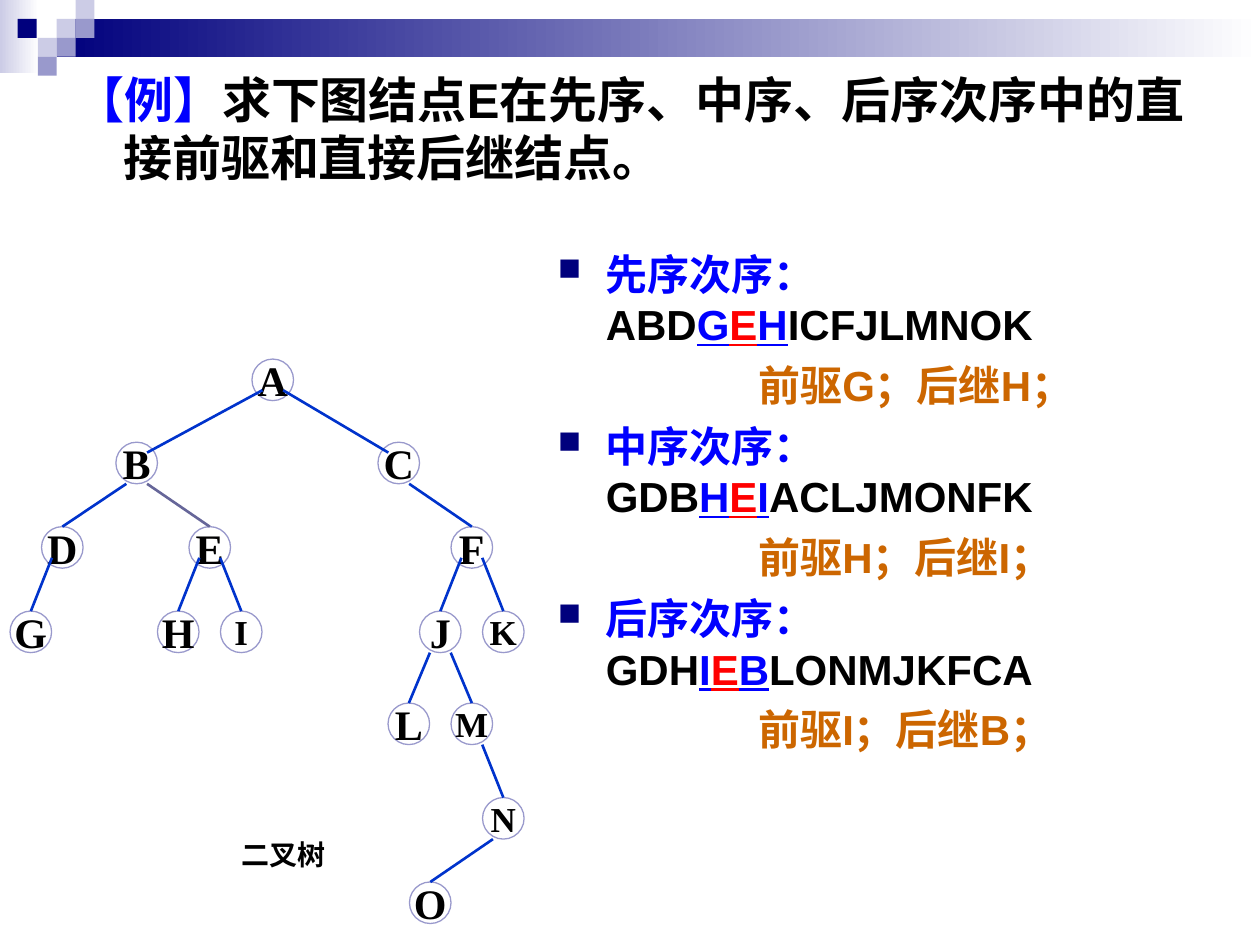
from lxml.etree import SubElement
from pptx import Presentation
from pptx.dml.color import RGBColor
from pptx.enum.shapes import MSO_CONNECTOR, MSO_SHAPE
from pptx.enum.text import MSO_ANCHOR, PP_ALIGN
from pptx.oxml.ns import qn
from pptx.util import Inches, Pt

THEME = dict(
    navy="00007D", lilac="CCCCE6", violet="9999CC", white="FFFFFF", black="000000",
    blue="0000FF", red="FF0000", orange="CC6600", edge="0033CC", muted="666699",
    sans="Arial", serif="Times New Roman",
    title=28, body=24, node=24, small=20, caption=16,
)

TITLE = [("【例】", "blue"),
         ("求下图结点E在先序、中序、后序次序中的直接前驱和直接后继结点。", "black")]
CAPTION = "二叉树"
ORDERS = [
    ("先序次序：", "ABD", "GEH", "ICFJLMNOK"),
    ("中序次序：", "GDB", "HEI", "ACLJMONFK"),
    ("后序次序：", "GDH", "IEB", "LONMJKFCA"),
]
BANDS = [(0, 0, 0.31, 0.58, "lilac"), (0.45, 0.15, 9.55, 0.3, "navy")]
TILES = [(0.45, 0.15, "lilac"), (0.6, 0, "lilac"), (0.6, 0.15, "violet"),
         (0.3, 0.3, "lilac"), (0.14, 0.15, "navy"), (0.45, 0.3, "violet"),
         (0.3, 0.45, "violet")]
TILE = 0.15

ROWS = [2.85, 3.51, 4.18, 4.85, 5.58, 6.33, 7]
NODES = {
    "A": (2, 0), "B": (0.92, 1), "C": (3, 1), "D": (0.33, 2), "E": (1.5, 2),
    "F": (3.58, 2), "G": (0.08, 3), "H": (1.25, 3), "I": (1.75, 3), "J": (3.33, 3),
    "K": (3.83, 3), "L": (3.08, 4), "M": (3.58, 4), "N": (3.83, 5), "O": (3.25, 6),
}
EDGES = ["AB", "AC", "BD", "BE", "CF", "DG", "EH", "EI", "FJ", "FK", "JL", "JM", "MN", "NO"]
SMALL_NODES = "IKMN"
RAISED_STARTS = "ADEF"
MUTED_EDGE = "BE"
SIZE = 0.33
STEP = SIZE / 4


def rgb(name):
    return RGBColor.from_string(THEME[name])


def add_shape(s, kind, x, y, w, h, fill, fade=False):
    sp = s.shapes.add_shape(kind, *map(Inches, (x, y, w, h)))
    sp.shadow.inherit = False
    sp.line.fill.background()
    if fade:
        sp.fill.gradient()
        sp.fill.gradient_angle = 0
        for stop, color, pos in zip(sp.fill.gradient_stops, (fill, "white"), (0, 1)):
            stop.color.rgb, stop.position = rgb(color), pos
    else:
        sp.fill.solid()
        sp.fill.fore_color.rgb = rgb(fill)
    return sp


def add_run(p, text, color, size, face="sans", underline=False):
    r = p.add_run()
    r.text = text
    fmt = dict(name=THEME[face], size=Pt(THEME[size]), bold=True, underline=underline)
    for key, value in fmt.items():
        setattr(r.font, key, value)
    r.font.color.rgb = rgb(color)


def add_text(s, x, y, w, h):
    tf = s.shapes.add_textbox(*map(Inches, (x, y, w, h))).text_frame
    tf.word_wrap = True
    return tf


def set_indent(p, left, first):
    pPr = p._p.get_or_add_pPr()
    pPr.set("marL", str(Inches(left)))
    pPr.set("indent", str(Inches(first)))
    return pPr


def add_bullet(p):
    pPr = set_indent(p, 0.38, -0.38)
    color = SubElement(pPr, qn("a:buClr"))
    SubElement(color, qn("a:srgbClr"), val=THEME["navy"])
    SubElement(pPr, qn("a:buSzPct"), val="75000")
    SubElement(pPr, qn("a:buChar"), char="■")


def add_node(s, name):
    x, row = NODES[name]
    sp = add_shape(s, MSO_SHAPE.OVAL, x, ROWS[row], SIZE, SIZE, "white")
    sp.line.color.rgb = rgb("violet")
    sp.line.width = Pt(0.75)
    tf = sp.text_frame
    tf.word_wrap = False
    tf.vertical_anchor = MSO_ANCHOR.MIDDLE
    p = tf.paragraphs[0]
    p.alignment = PP_ALIGN.CENTER
    add_run(p, name, "black", "small" if name in SMALL_NODES else "node", "serif")


def add_edge(s, edge):
    parent, child = edge
    (px, prow), (cx, crow) = NODES[parent], NODES[child]
    side = STEP if cx > px else -STEP
    x1 = px + SIZE / 2 + side
    y1 = ROWS[prow] + (3 * STEP if parent in RAISED_STARTS else SIZE)
    x2, y2 = cx + SIZE / 2, ROWS[crow]
    if parent == "A":
        x2, y2 = x2 - side, y2 + STEP
    line = s.shapes.add_connector(MSO_CONNECTOR.STRAIGHT, *map(Inches, (x1, y1, x2, y2)))
    line.line.color.rgb = rgb("muted" if edge == MUTED_EDGE else "edge")
    line.line.width = Pt(1.5)
    SubElement(line._element.spPr, qn("a:effectLst"))


def add_orders(s):
    tf = add_text(s, 4.33, 1.92, 5.67, 4.11)
    for i, (label, before, trio, after) in enumerate(ORDERS):
        p = tf.add_paragraph() if i else tf.paragraphs[0]
        add_bullet(p)
        if i:
            p.space_before = Pt(6)
        add_run(p, label, "blue", "body")
        p.add_line_break()
        add_run(p, before, "black", "body")
        for letter, color in zip(trio, ("blue", "red", "blue")):
            add_run(p, letter, color, "body", underline=True)
        add_run(p, after, "black", "body")
        p = tf.add_paragraph()
        set_indent(p, 1.59, 0)
        p.space_before = Pt(6)
        add_run(p, f"前驱{trio[0]}；后继{trio[2]}；", "orange", "body")


def main():
    prs = Presentation()
    prs.slide_width, prs.slide_height = Inches(10), Inches(7.5)
    s = prs.slides.add_slide(prs.slide_layouts[6])
    for x, y, w, h, color in BANDS:
        add_shape(s, MSO_SHAPE.RECTANGLE, x, y, w, h, color, fade=True)
    for x, y, color in TILES:
        add_shape(s, MSO_SHAPE.RECTANGLE, x, y, TILE, TILE, color)
    p = add_text(s, 0.5, 0.5, 9, 1.1).paragraphs[0]
    set_indent(p, 0.38, -0.38)
    for text, color in TITLE:
        add_run(p, text, color, "title")
    for name in NODES:
        add_node(s, name)
    for edge in EDGES:
        add_edge(s, edge)
    p = add_text(s, 0.96, 6.6, 2.58, 0.37).paragraphs[0]
    p.alignment = PP_ALIGN.CENTER
    add_run(p, CAPTION, "black", "caption", "serif")
    add_orders(s)
    prs.save("out.pptx")


if __name__ == "__main__":
    main()
